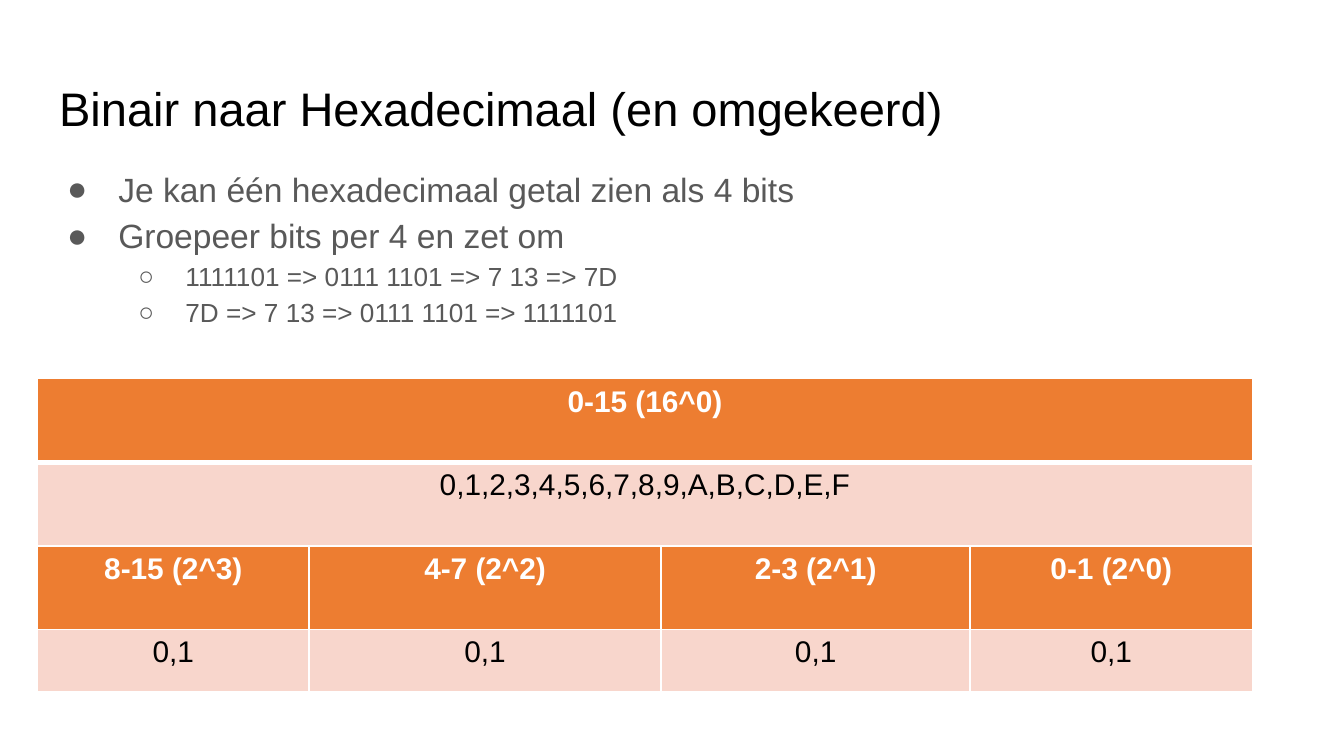
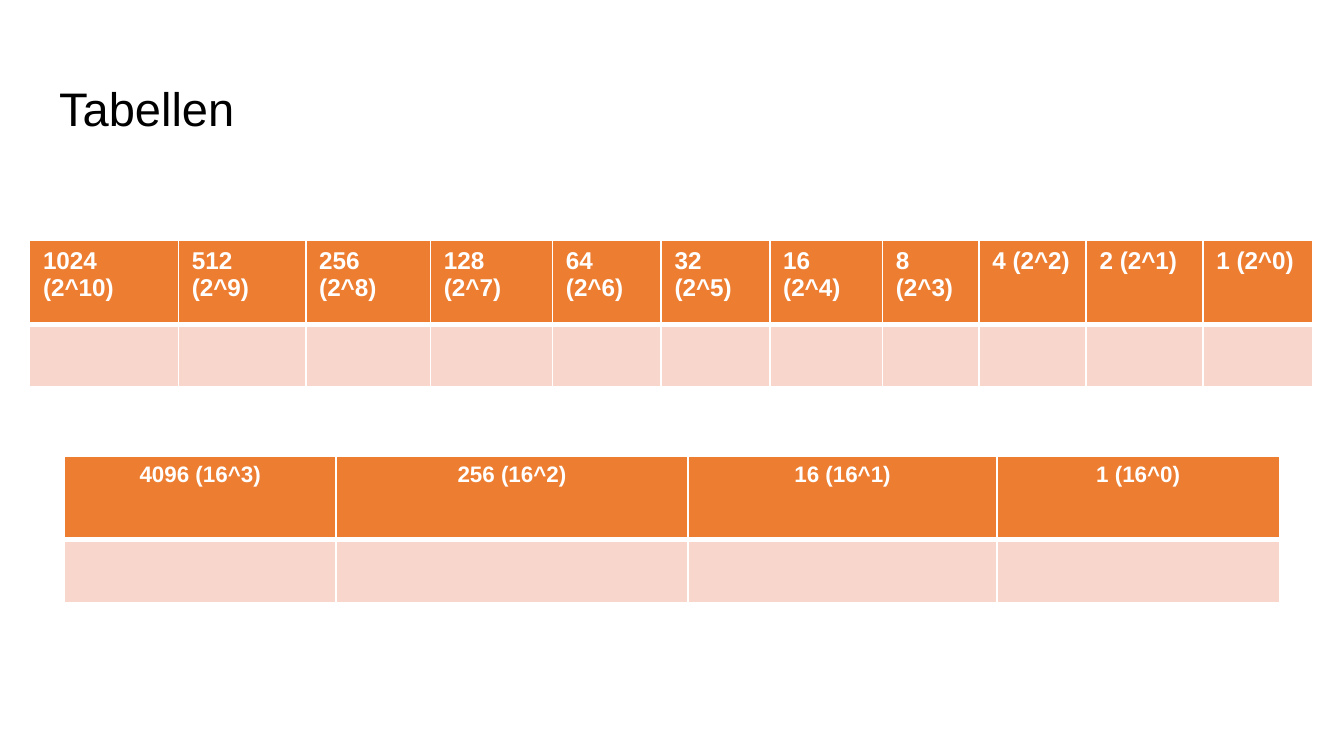
from lxml import etree
from pptx import Presentation
from pptx.dml.color import RGBColor
from pptx.enum.text import MSO_ANCHOR, MSO_AUTO_SIZE, PP_ALIGN
from pptx.oxml.ns import qn
from pptx.util import Inches, Pt

LEFT, CENTER = PP_ALIGN.LEFT, PP_ALIGN.CENTER
TOP = MSO_ANCHOR.TOP
FIXED_SIZE = MSO_AUTO_SIZE.NONE

WIDTH = Inches(10)
HEIGHT = WIDTH * 9 // 16
FONT = "Arial"
COLORS = {
    "title": "000000",
    "body": "595959",
    "header": "ED7D31",
    "header_text": "FFFFFF",
    "value": "F8D6CC",
    "value_text": "000000",
    "border": "FFFFFF",
}

TITLE_BOX = (3.4, 8.71, 93.2, 11.2)
BULLETS_BOX = (2.8, 19.78, 93.2, 51.73)
NIBBLE_BOX = (2.8, 50.06, 90.4, 41.5)
BINARY_BOX = (2.2, 31.84, 95.5, 19.4)
HEX_BOX = (4.8, 60.3, 90.4, 19.4)

HEADER_ROW, VALUE_ROW = 4, 3
FOUR_COLUMNS = (2.02, 2.62, 2.3, 2.1)
BINARY_COLUMNS = (1.11, 0.95, 0.93, 0.91, 0.81, 0.81, 0.84, 0.72, 0.8, 0.87, 0.82)

LEVELS = (
    {"size": 18, "mark": "●", "margin": 0.5, "hanging": 0.38},
    {"size": 14, "mark": "○", "margin": 1, "hanging": 0.35},
)
BULLETS = (
    (0, "Je kan één hexadecimaal getal zien als 4 bits"),
    (0, "Groepeer bits per 4 en zet om"),
    (1, "1111101 => 0111 1101 => 7 13 => 7D"),
    (1, "7D => 7 13 => 0111 1101 => 1111101"),
)


def emu(box):
    left, top, width, height = box
    return (
        int(WIDTH * left / 100),
        int(HEIGHT * top / 100),
        int(WIDTH * width / 100),
        int(HEIGHT * height / 100),
    )


def add_run(paragraph, text, size, color, bold=False):
    run = paragraph.add_run()
    run.text = text
    run.font.name = FONT
    run.font.size = Pt(size)
    run.font.bold = bold
    run.font.color.rgb = RGBColor.from_string(COLORS[color])


def place_frame(placeholder, box):
    placeholder.left, placeholder.top, placeholder.width, placeholder.height = emu(box)
    frame = placeholder.text_frame
    frame.word_wrap = True
    frame.auto_size = FIXED_SIZE
    frame.vertical_anchor = TOP
    frame.margin_left = frame.margin_right = Inches(0.1)
    frame.margin_top = frame.margin_bottom = Inches(0.1)
    return frame


def add_title(slide, text, box=TITLE_BOX):
    heading = place_frame(slide.shapes.title, box).paragraphs[0]
    heading.alignment = LEFT
    add_run(heading, text, 25.2, "title")


def set_bullet(paragraph, level):
    properties = paragraph._p.get_or_add_pPr()
    properties.set("marL", str(Inches(level["margin"])))
    properties.set("indent", str(-Inches(level["hanging"])))
    color = etree.SubElement(properties, qn("a:buClr"))
    etree.SubElement(color, qn("a:srgbClr"), val=COLORS["body"])
    etree.SubElement(properties, qn("a:buFont"), typeface=FONT)
    etree.SubElement(properties, qn("a:buChar"), char=level["mark"])


def add_bullets(slide, bullets, box):
    frame = place_frame(slide.placeholders[1], box)
    for index, (depth, text) in enumerate(bullets):
        line = frame.add_paragraph() if index else frame.paragraphs[0]
        level = LEVELS[depth]
        set_bullet(line, level)
        line.level = depth
        line.line_spacing = 1.15
        line.space_before = Pt(0)
        add_run(line, text, level["size"], "body")


def set_borders(cell, bottom):
    properties = cell._tc.get_or_add_tcPr()
    for side, points in (("L", 1), ("R", 1), ("T", 1), ("B", bottom)):
        edge = etree.SubElement(properties, qn("a:ln" + side), w=str(Pt(points)))
        fill = etree.SubElement(edge, qn("a:solidFill"))
        etree.SubElement(fill, qn("a:srgbClr"), val=COLORS["border"])


def add_place_values(slide, box, columns, rows, size, alignment=CENTER):
    left, top, width, height = emu(box)
    heights = [HEADER_ROW] * (len(rows) - 1) + [VALUE_ROW]
    table = slide.shapes.add_table(len(rows), len(columns), left, top, width, height).table
    for column, share in zip(table.columns, columns):
        column.width = int(width * share / sum(columns))
    for row, share in zip(table.rows, heights):
        row.height = int(height * share / sum(heights))
    for row_index, texts in enumerate(rows):
        is_header = row_index % 2 == 0
        kind = "header" if is_header else "value"
        for cell in table.rows[row_index].cells:
            set_borders(cell, 1 if row_index else 3)
            cell.fill.solid()
            cell.fill.fore_color.rgb = RGBColor.from_string(COLORS[kind])
        if len(texts) == 1:
            table.cell(row_index, 0).merge(table.cell(row_index, len(columns) - 1))
        for column_index, text in enumerate(texts):
            entry = table.cell(row_index, column_index).text_frame.paragraphs[0]
            entry.alignment = alignment
            if text:
                add_run(entry, text, size, kind + "_text", is_header)


def powers(base, highest):
    return [f"{base ** power} ({base}^{power})" for power in range(highest, -1, -1)]


def build_conversion(deck):
    slide = deck.slides.add_slide(deck.slide_layouts[1])
    add_title(slide, "Binair naar Hexadecimaal (en omgekeerd)")
    add_bullets(slide, BULLETS, BULLETS_BOX)
    rows = (
        ["0-15 (16^0)"],
        ["0,1,2,3,4,5,6,7,8,9,A,B,C,D,E,F"],
        ["8-15 (2^3)", "4-7 (2^2)", "2-3 (2^1)", "0-1 (2^0)"],
        ["0,1"] * 4,
    )
    add_place_values(slide, NIBBLE_BOX, FOUR_COLUMNS, rows, 16)


def build_tables(deck):
    slide = deck.slides.add_slide(deck.slide_layouts[5])
    add_title(slide, "Tabellen")
    add_place_values(slide, BINARY_BOX, BINARY_COLUMNS, (powers(2, 10), [""] * 11), 13, LEFT)
    add_place_values(slide, HEX_BOX, FOUR_COLUMNS, (powers(16, 3), [""] * 4), 12)


def main():
    deck = Presentation()
    deck.slide_width, deck.slide_height = WIDTH, HEIGHT
    build_conversion(deck)
    build_tables(deck)
    deck.save("out.pptx")


if __name__ == "__main__":
    main()
